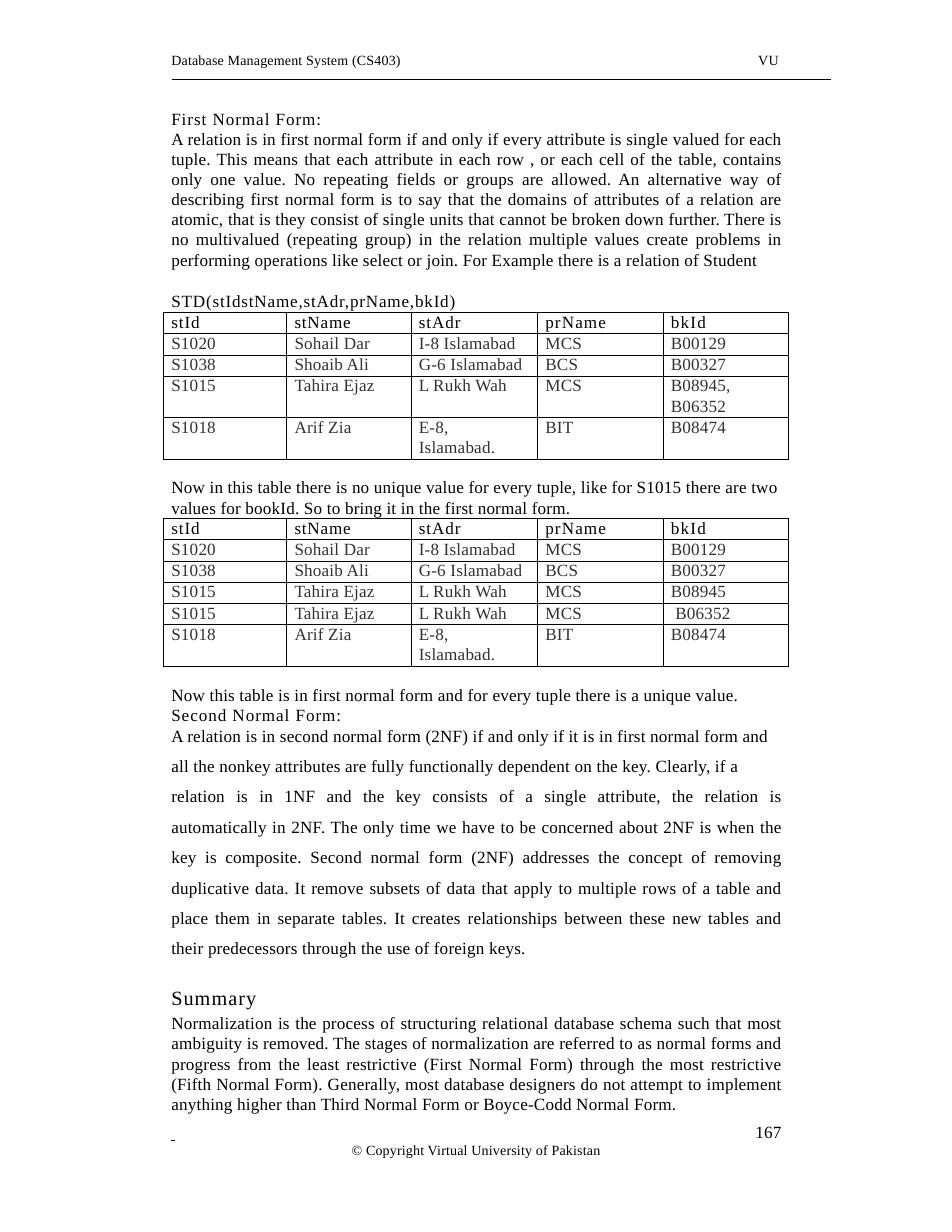
from lxml.etree import SubElement
from pptx import Presentation
from pptx.dml.color import RGBColor
from pptx.enum.shapes import MSO_CONNECTOR
from pptx.enum.text import PP_ALIGN
from pptx.oxml.ns import qn
from pptx.util import Inches, Pt

FONT = "Times New Roman"
BLACK, GREY = "000000", "323232"
LEFT, CENTER, JUSTIFY = PP_ALIGN.LEFT, PP_ALIGN.CENTER, PP_ALIGN.JUSTIFY

FIRST_FORM = (
    "A relation is in first normal form if and only if every attribute is single valued for each "
    "tuple. This means that each attribute in each row , or each cell of the table, contains "
    "only one value. No repeating fields or groups are allowed. An alternative way of "
    "describing first normal form is to say that the domains of attributes of a relation are "
    "atomic, that is they consist of single units that cannot be broken down further. There "
    "is no multivalued (repeating group) in the relation multiple values create problems in "
    "performing operations like select or join. For Example there is a relation of Student")
TRANSITION = (
    "Now in this table there is no unique value for every tuple, like for S1015 there are two "
    "values for bookId. So to bring it in the first normal form.")
SECOND_FORM = (
    "relation is in 1NF and the key consists of a single attribute, the relation is "
    "automatically in 2NF. The only time we have to be concerned about 2NF is when the "
    "key is composite. Second normal form (2NF) addresses the concept of removing "
    "duplicative data. It remove subsets of data that apply to multiple rows of a table and "
    "place them in separate tables. It creates relationships between these new tables and "
    "their predecessors through the use of foreign keys.")
SUMMARY = (
    "Normalization is the process of structuring relational database schema such that most "
    "ambiguity is removed. The stages of normalization are referred to as normal forms "
    "and progress from the least restrictive (First Normal Form) through the most "
    "restrictive (Fifth Normal Form). Generally, most database designers do not attempt to "
    "implement anything higher than Third Normal Form or Boyce-Codd Normal Form.")

TEXTS = [
    ((1.52, 0.46, 2.12, 0.16), LEFT, [
        dict(text="Database Management System (CS403)", size=9)]),
    ((6.76, 0.46, 0.22, 0.16), LEFT, [dict(text="VU", size=9, tracking=0.2)]),
    ((1.52, 0.97, 5.47, 1.82), JUSTIFY, [
        dict(text="First Normal Form:", tracking=0.6, line=Pt(13)),
        dict(text=FIRST_FORM, line=0.98, before=0.1),
        dict(text="STD(stIdstName,stAdr,prName,bkId)", tracking=0.5, before=13)]),
    ((1.52, 4.26, 5.47, 0.37), LEFT, [dict(text=TRANSITION, line=Pt(13))]),
    ((1.52, 6.11, 5.47, 3.85), JUSTIFY, [
        dict(text="Now this table is in first normal form and for every tuple "
                  "there is a unique value."),
        dict(text="Second Normal Form:", tracking=0.6, line=Pt(13.1)),
        dict(text="A relation is in second normal form (2NF) if and only if it is in "
                  "first normal form and", line=Pt(13.1)),
        dict(text="all the nonkey attributes are fully functionally dependent on the key. "
                  "Clearly, if a", before=6.2),
        dict(text=SECOND_FORM, line=1.48, before=0.1),
        dict(text="Summary", size=13, tracking=0.7, before=17.5),
        dict(text=SUMMARY, line=0.98, before=2.5)]),
]

HEADINGS = ["stId", "stName", "stAdr", "prName", "bkId"]
HEADING_TRACKING = [0.6, 0.5, 0.6, 0.7, 0.8]
COLUMN_WIDTHS = [1.1, 1.11, 1.13, 1.12, 1.12]
SOHAIL = ["S1020", "Sohail Dar", "I-8 Islamabad", "MCS", "B00129"]
SHOAIB = ["S1038", "Shoaib Ali", "G-6 Islamabad", "BCS", "B00327"]
TAHIRA = ["S1015", "Tahira Ejaz", "L Rukh Wah", "MCS"]
ARIF = ["S1018", "Arif Zia", "E-8,\nIslamabad.", "BIT", "B08474"]
RELATIONS = [
    (2.79, [SOHAIL, SHOAIB, TAHIRA + ["B08945,\nB06352"], ARIF]),
    (4.63, [SOHAIL, SHOAIB, TAHIRA + ["B08945"], TAHIRA + ["B06352"], ARIF]),
]


def color(value):
    return RGBColor.from_string(value)


def style_run(run, size=11, tracking=0.1, ink=BLACK):
    run.font.name = FONT
    run.font.size = Pt(size)
    run.font.color.rgb = color(ink)
    run._r.get_or_add_rPr().set("spc", str(round(tracking * 100)))


def add_text(slide, place, align, entries):
    frame = slide.shapes.add_textbox(*map(Inches, place)).text_frame
    frame.word_wrap = True
    frame.margin_left = Inches(0.01)
    frame.margin_top = frame.margin_right = frame.margin_bottom = 0
    frame.text = "\n".join(entry["text"] for entry in entries)
    for paragraph, entry in zip(frame.paragraphs, entries):
        paragraph.alignment = align
        if "line" in entry:
            paragraph.line_spacing = entry["line"]
        if "before" in entry:
            paragraph.space_before = Pt(entry["before"])
        for run in paragraph.runs:
            style_run(run, entry.get("size", 11), entry.get("tracking", 0.1))
    return frame


def add_borders(cell):
    properties = cell._tc.get_or_add_tcPr()
    for side in ("a:lnL", "a:lnR", "a:lnT", "a:lnB"):
        border = SubElement(properties, qn(side), w=str(Pt(0.5)))
        fill = SubElement(border, qn("a:solidFill"))
        SubElement(fill, qn("a:srgbClr"), val=BLACK)


def add_relation(slide, top, records):
    rows = [HEADINGS] + records
    heights = [0.37 if any("\n" in value for value in row) else 0.19 for row in rows]
    table = slide.shapes.add_table(
        len(rows), len(HEADINGS), Inches(1.46), Inches(top),
        Inches(sum(COLUMN_WIDTHS)), Inches(sum(heights))).table
    table.first_row = table.horz_banding = False
    for column, width in zip(table.columns, COLUMN_WIDTHS):
        column.width = Inches(width)
    for r, row in enumerate(rows):
        table.rows[r].height = Inches(heights[r])
        for c, value in enumerate(row):
            cell = table.cell(r, c)
            cell.margin_left = Inches(0.11 if value == "B06352" else 0.07)
            cell.margin_top = cell.margin_right = cell.margin_bottom = 0
            add_borders(cell)
            cell.fill.background()
            cell.text_frame.text = value
            for i, paragraph in enumerate(cell.text_frame.paragraphs):
                paragraph.line_spacing = Pt(13.1 if i else 12.4 if r else 12.7)
                style_run(paragraph.runs[0],
                          tracking=0.1 if r else HEADING_TRACKING[c],
                          ink=GREY if r else BLACK)


def add_footer(slide):
    frame = add_text(slide, (1.5, 10.03, 5.49, 0.33), CENTER, [
        dict(text=" \t", line=Pt(12.1)),
        dict(text="© Copyright Virtual University of Pakistan", size=9, line=Pt(10.6))])
    page_line = frame.paragraphs[0]
    page_line.runs[0].font.underline = True
    page_number = page_line.add_run()
    page_number.text = "167"
    style_run(page_number)
    tabs = SubElement(page_line._p.get_or_add_pPr(), qn("a:tabLst"))
    SubElement(tabs, qn("a:tab"), pos=str(Inches(5.22)), algn="l")


def add_header_rule(slide):
    rule = slide.shapes.add_connector(
        MSO_CONNECTOR.STRAIGHT, Inches(1.54), Inches(0.71), Inches(7.42), Inches(0.71))
    rule.line.color.rgb = color(BLACK)
    rule.line.width = Pt(0.94)
    SubElement(rule._element.spPr, qn("a:effectLst"))


def main():
    presentation = Presentation()
    presentation.slide_width = Inches(8.5)
    presentation.slide_height = Inches(11)
    slide = presentation.slides.add_slide(presentation.slide_layouts[6])
    add_header_rule(slide)
    for place, align, entries in TEXTS:
        add_text(slide, place, align, entries)
    for top, records in RELATIONS:
        add_relation(slide, top, records)
    add_footer(slide)
    presentation.save("out.pptx")


if __name__ == "__main__":
    main()
